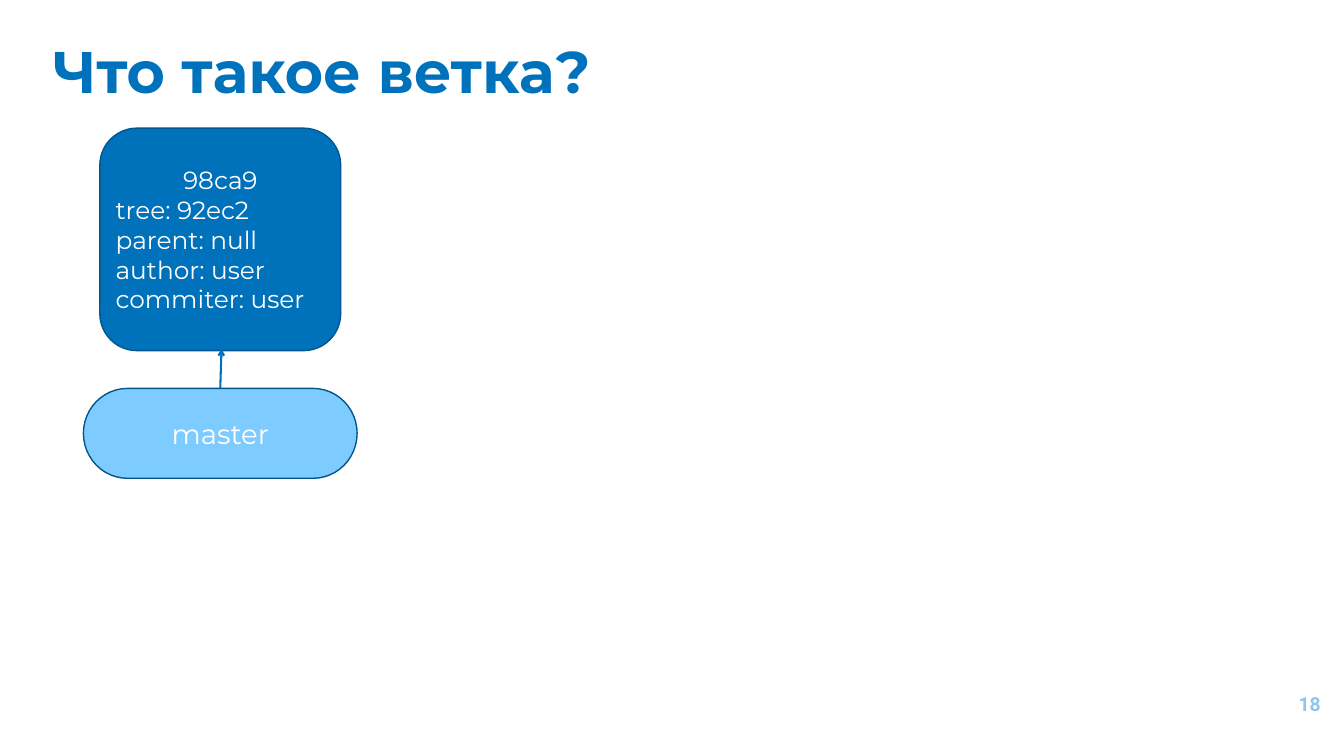
from dataclasses import dataclass

import lxml.etree
import pptx
import pptx.dml.color
import pptx.enum.shapes
import pptx.enum.text
import pptx.oxml.ns
import pptx.util

PX = 9144
KIND = pptx.enum.shapes.MSO_SHAPE
ALIGN = pptx.enum.text.PP_ALIGN
ANCHOR = pptx.enum.text.MSO_ANCHOR
BLUE, SKY, NAVY, PALE, WHITE = "0072BC", "7ECCFF", "00568D", "92C5EB", "FFFFFF"


@dataclass
class Box:
    left: int
    top: int
    width: int
    height: int


@dataclass
class Style:
    size: int
    color: str
    font: str = "Montserrat"
    bold: bool = False


@dataclass
class Node:
    box: Box
    kind: KIND
    fill: str
    style: Style
    head: str
    rows: tuple[str, ...] = ()


@dataclass
class Label:
    box: Box
    style: Style
    text: str
    align: ALIGN
    anchor: ANCHOR


def px(n: int) -> pptx.util.Emu:
    return pptx.util.Emu(n * PX)


def rgb(code: str) -> pptx.dml.color.RGBColor:
    return pptx.dml.color.RGBColor.from_string(code)


def place(box: Box) -> tuple[pptx.util.Emu, ...]:
    return px(box.left), px(box.top), px(box.width), px(box.height)


def write(frame, lines: list[tuple[str, ALIGN]], style: Style, anchor: ANCHOR) -> None:
    frame.word_wrap = True
    frame.vertical_anchor = anchor
    for i, (text, align) in enumerate(lines):
        para = frame.add_paragraph() if i else frame.paragraphs[0]
        para.text = text
        para.alignment = align
        para.font.name = style.font
        para.font.size = pptx.util.Pt(style.size)
        para.font.bold = style.bold
        para.font.color.rgb = rgb(style.color)


def add_label(slide, label: Label) -> None:
    frame = slide.shapes.add_textbox(*place(label.box)).text_frame
    frame.margin_left = frame.margin_right = px(10)
    frame.margin_top = frame.margin_bottom = px(10)
    write(frame, [(label.text, label.align)], label.style, label.anchor)


def add_node(slide, node: Node):
    shape = slide.shapes.add_shape(node.kind, *place(node.box))
    shape.shadow.inherit = False
    shape.fill.solid()
    shape.fill.fore_color.rgb = rgb(node.fill)
    shape.line.color.rgb = rgb(NAVY)
    shape.line.width = pptx.util.Pt(2)
    lines = [(node.head, ALIGN.CENTER)] + [(row, ALIGN.LEFT) for row in node.rows]
    write(shape.text_frame, lines, node.style, ANCHOR.MIDDLE)
    return shape


def add_arrow(slide, start, x: int, y: int) -> None:
    line = slide.shapes.add_connector(
        pptx.enum.shapes.MSO_CONNECTOR.STRAIGHT, px(x), px(y), px(x), px(y)
    )
    line.begin_connect(start, 0)
    line.line.color.rgb = rgb(BLUE)
    line.line.width = pptx.util.Pt(3)
    qn = pptx.oxml.ns.qn
    lxml.etree.SubElement(line.line._get_or_add_ln(), qn("a:tailEnd"), type="arrow")
    lxml.etree.SubElement(line._element.spPr, qn("a:effectLst"))


TITLE = Label(Box(96, 61, 1739, 192), Style(85, BLUE, bold=True),
              "Что такое ветка?", ALIGN.LEFT, ANCHOR.TOP)
PAGE = Label(Box(2507, 1360, 162, 115), Style(28, PALE, "Roboto", True),
             "18", ALIGN.RIGHT, ANCHOR.MIDDLE)
COMMIT = Node(Box(201, 258, 485, 448), KIND.FLOWCHART_ALTERNATE_PROCESS, BLUE,
              Style(36, WHITE), "98ca9",
              ("tree: 92ec2", "parent: null", "author: user", "commiter: user"))
BRANCH = Node(Box(168, 782, 551, 181), KIND.FLOWCHART_TERMINATOR, SKY,
              Style(40, WHITE), "master")


def main() -> None:
    deck = pptx.Presentation()
    deck.slide_width, deck.slide_height = px(2706), px(1500)
    slide = deck.slides.add_slide(deck.slide_layouts[6])
    for label in (TITLE, PAGE):
        add_label(slide, label)
    add_node(slide, COMMIT)
    branch = add_node(slide, BRANCH)
    add_arrow(slide, branch, 446, 703)
    deck.save("out.pptx")


if __name__ == "__main__":
    main()
